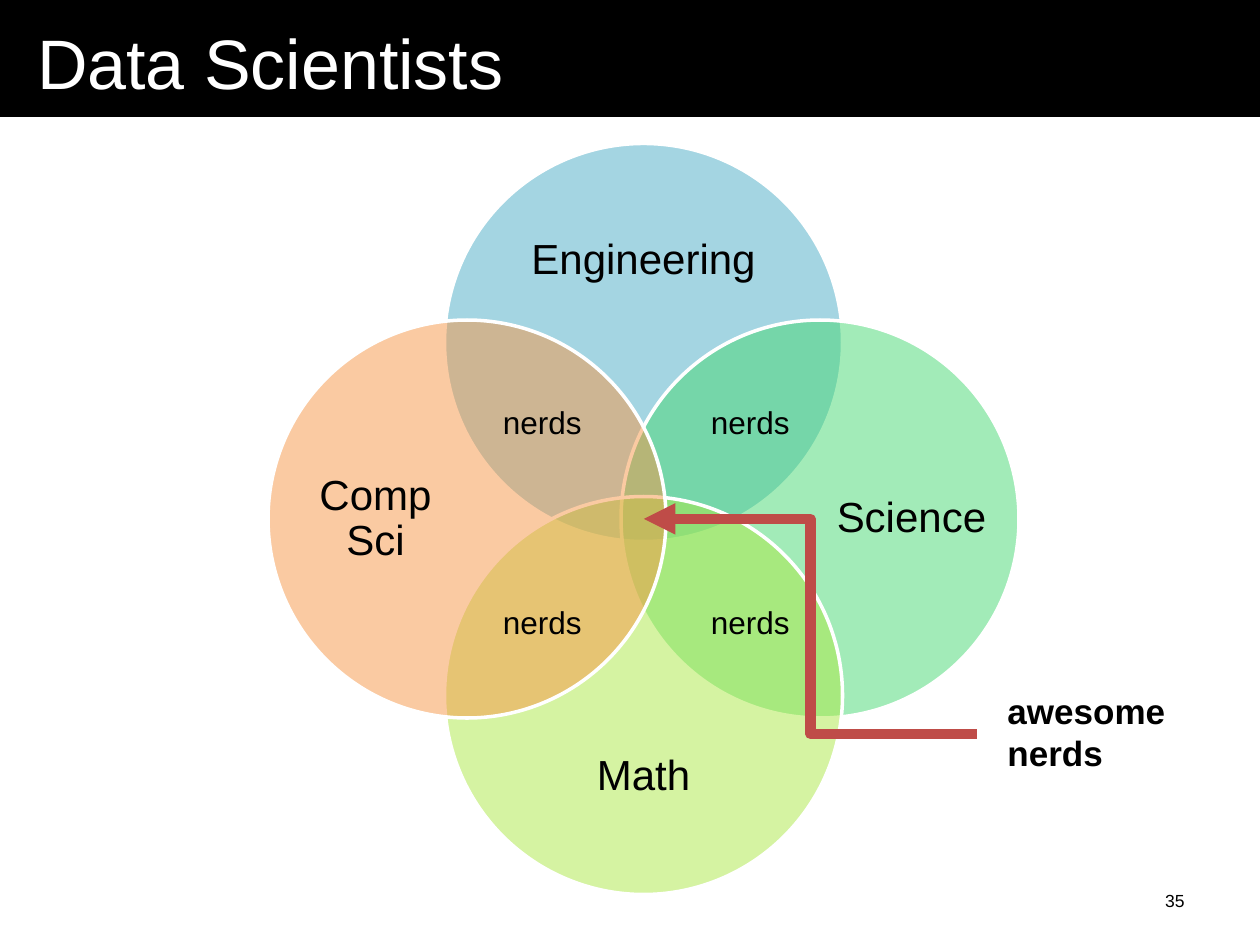
from lxml.etree import SubElement
from pptx import Presentation
from pptx.dml.color import RGBColor
from pptx.enum.shapes import MSO_CONNECTOR as CONN, MSO_SHAPE as SHAPE
from pptx.enum.text import MSO_ANCHOR as ANCHOR, MSO_AUTO_SIZE as AUTO, PP_ALIGN as ALIGN
from pptx.oxml.ns import qn
from pptx.util import Emu, Pt

PX_PER_INCH = 126
FONT = "Arial"
COLORS = {
    "black": "000000", "white": "FFFFFF", "arrow": "BF4C48",
    "Engineering": "4BACC6", "Science": "47D872", "Math": "ACE946", "Comp Sci": "F79646",
}
# Direction of each circle from the middle of the diagram, back to front
DIRECTIONS = {"Engineering": (0, -1), "Science": (1, 0), "Math": (0, 1), "Comp Sci": (-1, 0)}


def px(*values):
    return [Emu(round(v * 914400 / PX_PER_INCH)) for v in values]


def rgb(name):
    return RGBColor.from_string(COLORS[name])


def fill_text(sp, lines, size, color="black", bold=False, align=ALIGN.LEFT,
              spacing=None, inset=None, **frame):
    tf = sp.text_frame
    settings = {"word_wrap": True, "auto_size": AUTO.NONE, **frame}
    if inset is not None:
        sides = ("left", "top", "right", "bottom")
        settings.update({f"margin_{side}": px(inset)[0] for side in sides})
    for name, value in settings.items():
        setattr(tf, name, value)
    tf.text = "\n".join(lines)
    for p in tf.paragraphs:
        p.alignment = align
        p.line_spacing = spacing
        r = p.runs[0]
        for name, value in {"name": FONT, "size": Pt(size), "bold": bold}.items():
            setattr(r.font, name, value)
        r.font.color.rgb = rgb(color)


def add_text(shapes, box, lines, size, **options):
    fill_text(shapes.add_textbox(*px(*box)), lines, size, **options)


def add_header(slide, box):
    x, y, w, h = box
    band = slide.shapes.add_shape(SHAPE.RECTANGLE, *px(*box))
    band.shadow.inherit = False
    band.fill.solid()
    band.fill.fore_color.rgb = rgb("black")
    band.line.fill.background()

    title = slide.shapes.title
    title.left, title.top, title.width, title.height = px(x + 24, y + 11, 1113, h - 15)
    fill_text(title, ["Data Scientists"], 40, color="white", inset=13,
              vertical_anchor=ANCHOR.MIDDLE)
    band._element.addnext(title._element)


def add_circle(shapes, box, color):
    sp = shapes.add_shape(SHAPE.OVAL, *px(*box))
    sp.shadow.inherit = False
    sp.fill.solid()
    sp.fill.fore_color.rgb = rgb(color)
    tint = sp._element.spPr.find(qn("a:solidFill"))[0]
    SubElement(tint, qn("a:alpha"), val="50000")
    sp.line.color.rgb = rgb("white")
    sp.line.width = Pt(2)


def add_venn(slide, box):
    """Four overlapping circles, with a label in each and in each overlap."""
    x, y, w, h = box
    cx, cy = x + w / 2, y + h / 2
    diameter = 398
    reach = (w - diameter) / 2
    shapes = slide.shapes.add_group_shape().shapes
    for name, (dx, dy) in DIRECTIONS.items():
        left = cx + dx * reach - diameter / 2
        top = cy + dy * reach - diameter / 2
        add_circle(shapes, (left, top, diameter, diameter), name)
        lw, lh = (152, 306) if dx else (306, 126)
        label = (cx + dx * 268 - lw / 2, cy + dy * 258 - lh / 2, lw, lh)
        add_text(shapes, label, [name], 24, align=ALIGN.CENTER, spacing=0.9,
                 inset=0, vertical_anchor=ANCHOR.MIDDLE)

    for row in range(2):
        for col in range(2):
            overlap = (cx - 153 + col * 208, cy - 122 + row * 200, 184, 50)
            add_text(slide.shapes, overlap, ["nerds"], 18)


def add_callout(slide, box):
    """Elbow arrow from the right text to the top left corner of the box."""
    x, y, w, h = box
    arrow = slide.shapes.add_connector(CONN.ELBOW, *px(x + 333, y + 215, x, y))
    arrow.line.color.rgb = rgb("arrow")
    arrow.line.width = Pt(6)
    SubElement(arrow.line._get_or_add_ln(), qn("a:tailEnd"), type="triangle")
    SubElement(arrow._element.spPr, qn("a:effectLst"))
    add_text(slide.shapes, (x + w - 184, y + h - 97, 184, 97), ["awesome", "nerds"], 20, bold=True)


def add_slide_number(slide, box):
    add_text(slide.shapes, box, ["35"], 10, align=ALIGN.RIGHT, vertical_anchor=ANCHOR.MIDDLE)


def main():
    prs = Presentation()
    prs.slide_width, prs.slide_height = px(1260, 945)
    slide = prs.slides.add_slide(prs.slide_layouts[5])
    add_header(slide, (0, 0, 1260, 117))
    add_slide_number(slide, (903, 876, 294, 50))
    add_venn(slide, (268, 144, 751, 750))
    add_callout(slide, (644, 519, 535, 261))
    prs.save("out.pptx")


if __name__ == "__main__":
    main()
